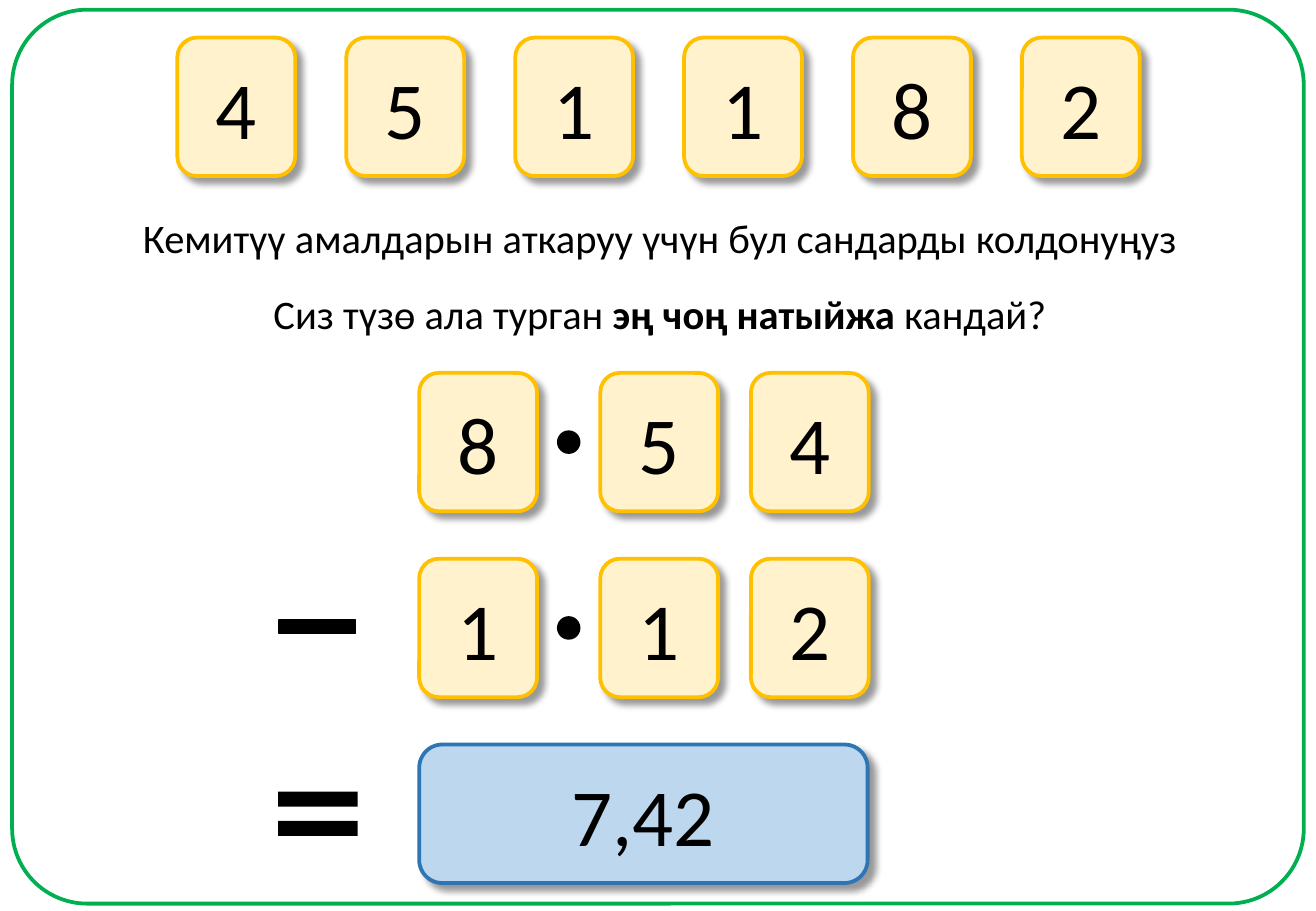
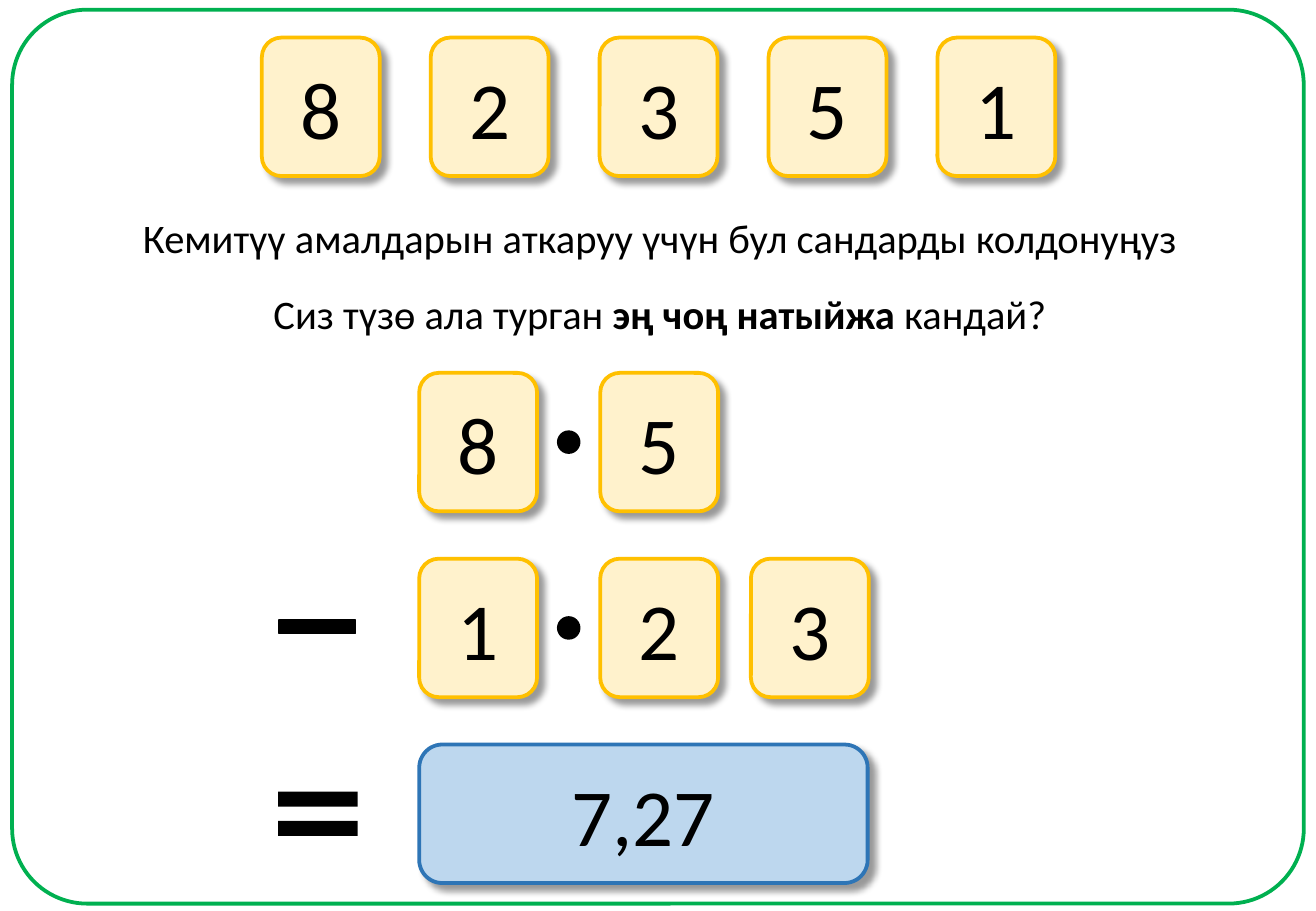
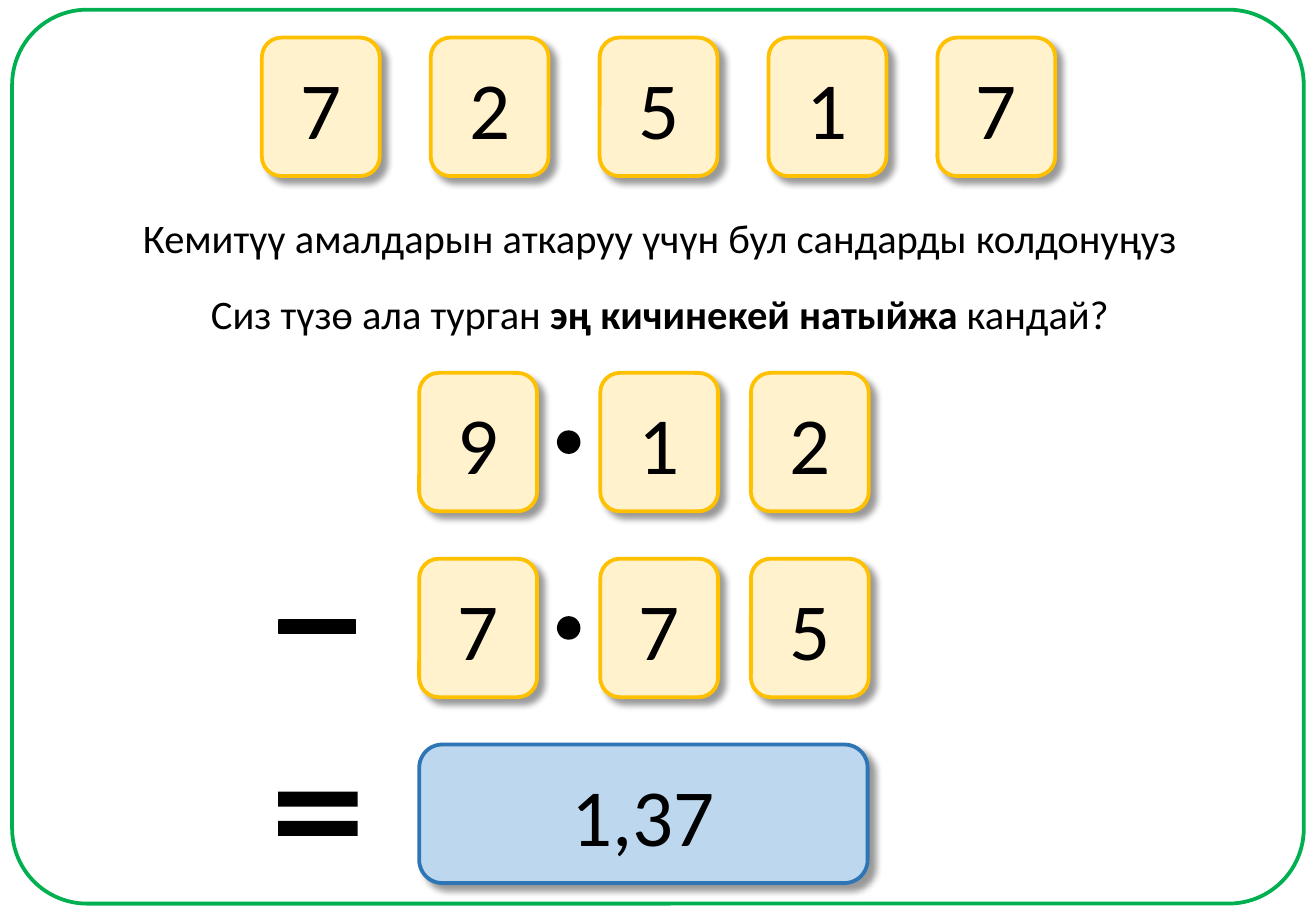
import pptx
import pptx.util
import pptx.dml.color
import pptx.enum.shapes
import pptx.enum.text
import pptx.oxml

Inches, Pt = pptx.util.Inches, pptx.util.Pt
MSO = pptx.enum.shapes.MSO_SHAPE
COLORS = {"frame": "00B050", "card": "FFF2CC", "card_line": "FFC000",
          "result": "BDD7EE", "result_line": "2E75B6", "ink": "000000"}
SHADOW = ('<a:effectLst xmlns:a="http://schemas.openxmlformats.org/drawingml/2006/main">'
          '<a:outerShdw blurRad="50800" dist="63500" dir="2700000" algn="tl" rotWithShape="0">'
          '<a:srgbClr val="000000"><a:alpha val="40000"/></a:srgbClr>'
          '</a:outerShdw></a:effectLst>')

CARD_W, CARD_H = 0.97, 1.14
CARD_GAP = 0.42
CENTER = 5.42
ROW_TOP, ROW_STEP = 3.07, 1.53
COLUMNS = [3.45, 4.94, 6.18]
TASK = "Кемитүү амалдарын аткаруу үчүн бул сандарды колдонуңуз"

# digits on offer, wanted result, first number, second number, difference
EXERCISES = [
    ("451182", "эң чоң натыйжа ", "854", "112", "7,42"),
    ("82351", "эң чоң натыйжа ", "85", "123", "7,27"),
    ("72517", "эң кичинекей натыйжа ", "912", "775", "1,37"),
]


def add_text(tf, runs, size):
    """Fill a frame with one centred line of (text, bold) runs."""
    tf.vertical_anchor = pptx.enum.text.MSO_ANCHOR.MIDDLE
    p = tf.paragraphs[0]
    p.alignment = pptx.enum.text.PP_ALIGN.CENTER
    for text, bold in runs:
        r = p.add_run()
        r.text = text
        r.font.name, r.font.size, r.font.bold = "Calibri", Pt(size), bold
        r.font.color.rgb = pptx.dml.color.RGBColor.from_string(COLORS["ink"])


def add_shape(s, kind, box, fill=None, line=None, width=2.25, adj=(), text=None, shadow=False):
    sp = s.shapes.add_shape(kind, *[Inches(v) for v in box])
    for i, value in enumerate(adj):
        sp.adjustments[i] = value
    if fill:
        sp.fill.solid()
        sp.fill.fore_color.rgb = pptx.dml.color.RGBColor.from_string(COLORS[fill])
    else:
        sp.fill.background()
    if line:
        sp.line.color.rgb = pptx.dml.color.RGBColor.from_string(COLORS[line])
        sp.line.width = Pt(width)
    else:
        sp.line.fill.background()
    if shadow:
        sp._element.spPr.append(pptx.oxml.parse_xml(SHADOW))
    else:
        sp.shadow.inherit = False
    if text:
        add_text(sp.text_frame, [(text, False)], 48)


prs = pptx.Presentation()
prs.slide_width, prs.slide_height = Inches(10.83), Inches(7.5)

# Shared title position
layout = prs.slide_layouts[5]
title = layout.placeholders[0]
title.left, title.top, title.width, title.height = [Inches(v) for v in (1.03, 1.7, 8.8, 0.5)]

for digits, wanted, first, second, difference in EXERCISES:
    s = prs.slides.add_slide(layout)

    # Frame
    add_shape(s, MSO.ROUNDED_RECTANGLE, (0.1, 0.08, 10.63, 7.36), line="frame", adj=[0.084])

    # Task and question
    tf = s.shapes.title.text_frame
    tf.auto_size = pptx.enum.text.MSO_AUTO_SIZE.NONE
    tf.word_wrap = False
    add_text(tf, [(TASK, False)], 24)
    tf = s.shapes.add_textbox(Inches(1.03), Inches(2.33), Inches(8.8), Inches(0.5)).text_frame
    tf.word_wrap = True
    add_text(tf, [("Сиз түзө ала турган ", False), (wanted, True), ("кандай?", False)], 24)

    # Digit cards: a centred row on top, then the two numbers
    pitch = CARD_W + CARD_GAP
    left = CENTER - (len(digits) * pitch - CARD_GAP) / 2
    cards = [(left + i * pitch, 0.31, digit) for i, digit in enumerate(digits)]
    for row, number in enumerate([first, second]):
        y = ROW_TOP + row * ROW_STEP
        cards += [(x, y, digit) for x, digit in zip(COLUMNS, number)]
        # Decimal point
        add_shape(s, MSO.OVAL, (4.59, y + 0.48, 0.18, 0.18), "ink", "ink", 1)
    for x, y, digit in cards:
        add_shape(s, MSO.ROUNDED_RECTANGLE, (x, y, CARD_W, CARD_H), "card", "card_line",
                  text=digit, shadow=True)

    # Signs and result
    add_shape(s, MSO.MATH_MINUS, (2.18, 4.73, 0.86, 0.86), "ink", "ink", 1, adj=[0.132])
    add_shape(s, MSO.MATH_EQUAL, (2.17, 6.2, 0.89, 1), "ink", adj=[0.123, 0.118])
    add_shape(s, MSO.ROUNDED_RECTANGLE, (COLUMNS[0], ROW_TOP + 2 * ROW_STEP, 3.69, CARD_H),
              "result", "result_line", text=difference, shadow=True)

prs.save("out.pptx")
